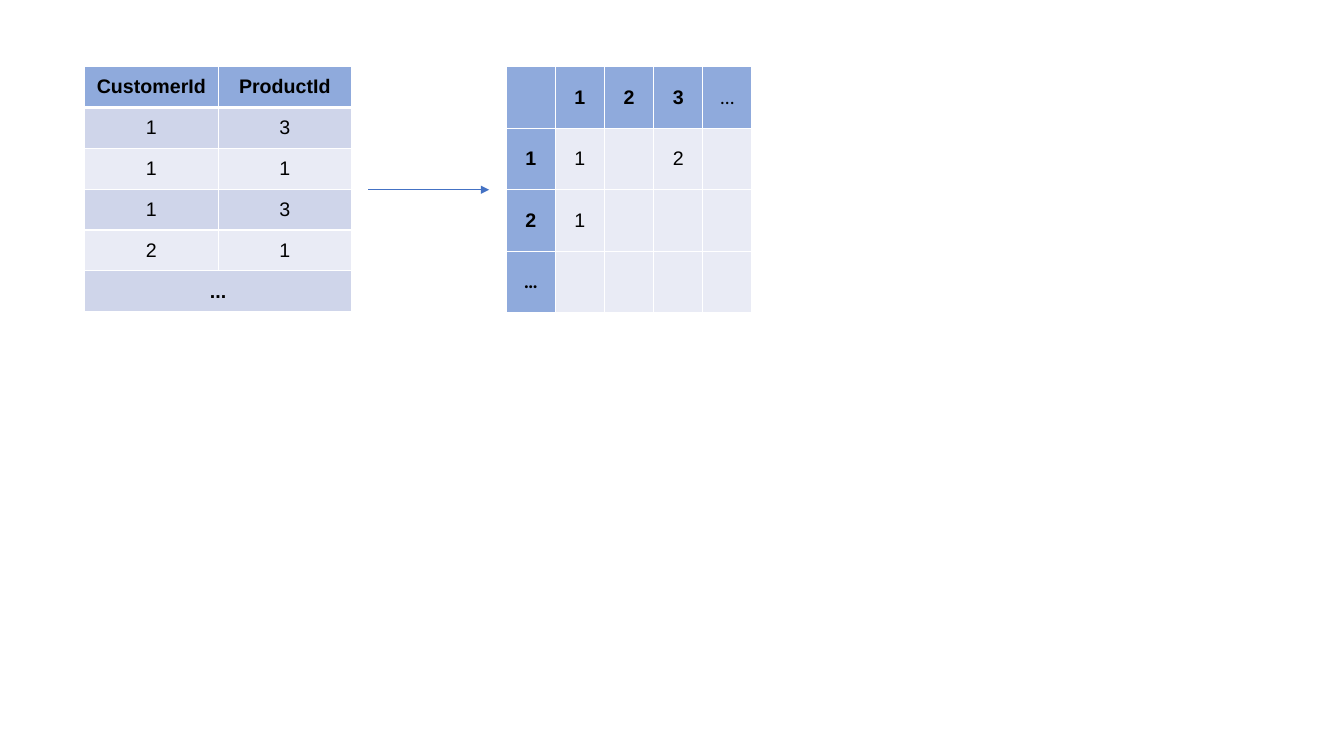
from dataclasses import dataclass

from lxml.etree import SubElement
from pptx import Presentation
from pptx.dml.color import RGBColor
from pptx.enum.shapes import MSO_CONNECTOR as Link
from pptx.enum.text import MSO_ANCHOR as Anchor, PP_ALIGN as Align
from pptx.oxml import parse_xml
from pptx.oxml.ns import nsdecls, qn
from pptx.slide import Slide
from pptx.table import _Cell as Cell
from pptx.util import Inches, Pt

WIDE, HIGH = Inches(13.33), Inches(7.5)

BLACK = RGBColor(0x00, 0x00, 0x00)
WHITE = RGBColor(0xFF, 0xFF, 0xFF)
HEAD = RGBColor(0x8F, 0xAA, 0xDC)
DARK = RGBColor(0xCF, 0xD5, 0xEA)
LIGHT = RGBColor(0xE9, 0xEB, 0xF5)
BLUE = RGBColor(0x44, 0x72, 0xC4)


@dataclass(frozen=True)
class Grid:
    """A table; left, top, col and row are percentages of the slide."""
    left: float
    top: float
    col: float
    row: float
    texts: list[list[str]]
    fills: list[list[RGBColor]]
    bolds: list[list[bool]]
    rule: int = 1  # weight of the line under the first row
    joined: bool = False  # last row is one cell


ORDERS = Grid(
    6.3, 8.8, 9.93, 5.41,
    [["CustomerId", "ProductId"], ["1", "3"], ["1", "1"],
     ["1", "3"], ["2", "1"], ["...", ""]],
    [[fill] * 2 for fill in (HEAD, DARK, LIGHT, DARK, LIGHT, DARK)],
    [[row in (0, 5)] * 2 for row in range(6)],
    rule=3, joined=True)

MATRIX = Grid(
    37.66, 8.8, 3.66, 8.15,
    [["", "1", "2", "3", "…"], ["1", "1", "", "2", ""],
     ["2", "1", "", "", ""], ["…", "", "", "", ""]],
    [[HEAD] * 5] + [[HEAD] + [LIGHT] * 4] * 3,
    [[False, True, True, True, False]] + [[True] + [False] * 4] * 3)


def across(share: float) -> int:
    return round(WIDE * share / 100)


def down(share: float) -> int:
    return round(HIGH * share / 100)


def edge(cell: Cell, top: int, bottom: int) -> None:
    """Give a cell white borders, with the top and bottom weights in points."""
    props = cell._tc.get_or_add_tcPr()
    for spot, (side, size) in enumerate(
            (("L", 1), ("R", 1), ("T", top), ("B", bottom))):
        props.insert(spot, parse_xml(
            f'<a:ln{side} {nsdecls("a")} w="{Pt(size)}"><a:solidFill>'
            f'<a:srgbClr val="{WHITE}"/></a:solidFill></a:ln{side}>'))


def write(cell: Cell, text: str, bold: bool) -> None:
    dots = text == "…"
    if not dots:
        cell.margin_left = cell.margin_right = Inches(0.07)
        cell.margin_top = cell.margin_bottom = Inches(0.07)
    cell.vertical_anchor = Anchor.MIDDLE
    para = cell.text_frame.paragraphs[0]
    para.alignment = Align.CENTER
    run = para.add_run()
    run.text = text
    run.font.name = "Calibri" if dots else "Arial"
    run.font.size = Pt(14)
    run.font.bold = bold
    run.font.color.rgb = BLACK


def draw(slide: Slide, grid: Grid) -> None:
    rows, cols = len(grid.texts), len(grid.texts[0])
    table = slide.shapes.add_table(
        rows, cols, across(grid.left), down(grid.top),
        across(grid.col * cols), down(grid.row * rows)).table
    for col in table.columns:
        col.width = across(grid.col)
    for row in table.rows:
        row.height = down(grid.row)
    if grid.joined:
        table.cell(rows - 1, 0).merge(table.cell(rows - 1, cols - 1))
    for r, line in enumerate(grid.texts):
        for c, text in enumerate(line):
            cell = table.cell(r, c)
            cell.fill.solid()
            cell.fill.fore_color.rgb = grid.fills[r][c]
            edge(cell, grid.rule if r == 1 else 1, grid.rule if r == 0 else 1)
            if text:
                write(cell, text, grid.bolds[r][c])


def arrow(slide: Slide, start: float, end: float, level: float) -> None:
    link = slide.shapes.add_connector(
        Link.STRAIGHT, across(start), down(level), across(end), down(level))
    link.line.color.rgb = BLUE
    link.line.width = Pt(0.5)
    SubElement(link.line._get_or_add_ln(), qn("a:tailEnd"), type="triangle")
    SubElement(link._element.spPr, qn("a:effectLst"))


def main() -> None:
    deck = Presentation()
    deck.slide_width, deck.slide_height = WIDE, HIGH
    slide = deck.slides.add_slide(deck.slide_layouts[6])
    for grid in (ORDERS, MATRIX):
        draw(slide, grid)
    arrow(slide, 27.4, 36.4, 25.1)
    deck.save("out.pptx")


if __name__ == "__main__":
    main()
